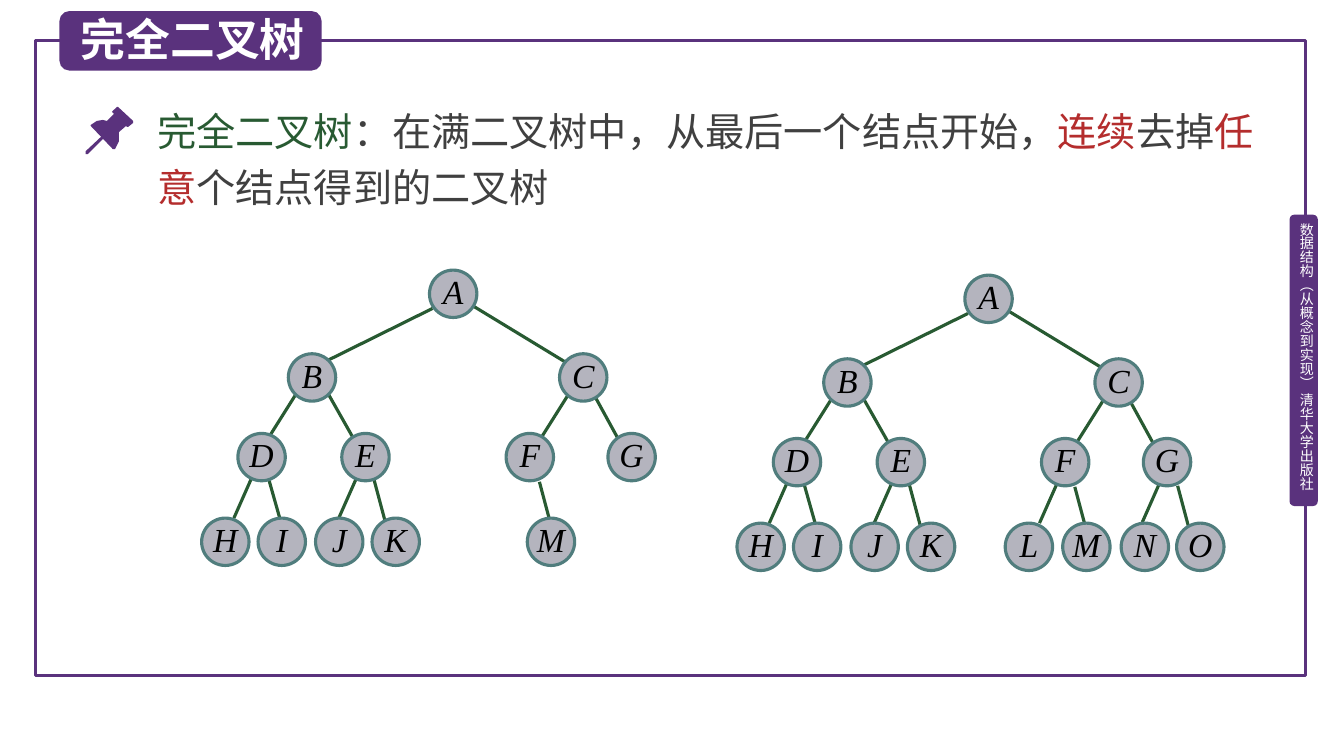
from lxml import etree
from pptx import Presentation
from pptx.dml.color import RGBColor
from pptx.enum.shapes import MSO_CONNECTOR, MSO_SHAPE
from pptx.enum.text import MSO_ANCHOR, MSO_AUTO_SIZE, PP_ALIGN
from pptx.oxml.ns import qn
from pptx.util import Inches, Pt

COLORS = {
    "purple": "5A327D", "white": "FFFFFF", "black": "000000", "gray": "404040",
    "green": "285A32", "red": "B42D2D", "node": "B4B4BE", "ring": "507D7D",
}
CJK, LATIN = "Noto Sans CJK SC", "Times New Roman"


def add_run(p, text, size, color, font=CJK, bold=False, italic=False):
    r = p.add_run()
    r.text = text
    r.font.size, r.font.name = Pt(size), font
    r.font.bold, r.font.italic = bold, italic
    r.font.color.rgb = RGBColor.from_string(COLORS[color])
    r.font.language_id = None
    etree.SubElement(r.font._element, qn("a:ea")).set("typeface", CJK)


def style(sp, fill=None, line=None):
    sp.shadow.inherit = False
    if fill:
        sp.fill.solid()
        sp.fill.fore_color.rgb = RGBColor.from_string(COLORS[fill])
    else:
        sp.fill.background()
    if line:
        sp.line.color.rgb = RGBColor.from_string(COLORS[line])
        sp.line.width = Pt(2.25)
    else:
        sp.line.fill.background()


prs = Presentation()
prs.slide_width, prs.slide_height = Inches(13.33), Inches(7.5)
slide = prs.slides.add_slide(prs.slide_layouts[1])
shapes = slide.shapes
title, body = shapes.title, slide.placeholders[1]

# Frame, side bar and title plate
for kind, box, fill, line in [
    (MSO_SHAPE.RECTANGLE, (0.35, 0.4, 12.6, 6.3), None, "purple"),
    (MSO_SHAPE.ROUNDED_RECTANGLE, (12.79, 2.13, 0.28, 2.89), "purple", None),
    (MSO_SHAPE.ROUNDED_RECTANGLE, (0.59, 0.11, 2.6, 0.59), "purple", None),
]:
    sp = shapes.add_shape(kind, *map(Inches, box))
    style(sp, fill, line)

side = shapes.add_textbox(*map(Inches, (12.87, 2.21, 0.17, 2.81)))

# Text boxes and placeholders, brought in front of the plate
for sp, box, inset_x, inset_y in [
    (side, (12.87, 2.21, 0.17, 2.81), 0, 0),
    (title, (0.7, 0.07, 2.5, 0.64), 0.1, 0.05),
    (body, (1.56, 0.93, 11.11, 1.22), 0, 0.05),
]:
    sp.left, sp.top, sp.width, sp.height = map(Inches, box)
    tf = sp.text_frame
    tf.word_wrap = True
    tf.auto_size = MSO_AUTO_SIZE.NONE
    tf.vertical_anchor = MSO_ANCHOR.TOP
    tf.margin_left = tf.margin_right = Inches(inset_x)
    tf.margin_top = tf.margin_bottom = Inches(inset_y)
    tf.paragraphs[0].alignment = PP_ALIGN.LEFT
    shapes._spTree.append(sp._element)

side.text_frame._txBody.bodyPr.set("vert", "eaVert")
add_run(side.text_frame.paragraphs[0], "数据结构（从概念到实现） 清华大学出版社", 10, "white")
add_run(title.text_frame.paragraphs[0], "完全二叉树", 32, "white", bold=True)

p = body.text_frame.paragraphs[0]
pPr = p._p.get_or_add_pPr()
pPr.set("marL", "0")
pPr.set("indent", "0")
etree.SubElement(pPr, qn("a:buNone"))
p.line_spacing, p.space_before = Pt(40), Pt(0)
for text, color in [
    ("完全二叉树", "green"), ("：在满二叉树中，从最后一个结点开始，", "gray"),
    ("连续", "red"), ("去掉", "gray"), ("任意", "red"), ("个结点得到的二叉树", "gray"),
]:
    add_run(p, text, 28, color, font=LATIN)

# Pushpin, in hundredths of an inch
PIN_HEAD = [
    (132, 120), (117, 106), (116, 106), (112, 110), (111, 111), (112, 112), (113, 113),
    (106, 120), (102, 119), (96, 120), (90, 124), (90, 125), (112, 148), (114, 148),
    (118, 140), (118, 131), (125, 125), (126, 126), (127, 126), (132, 122),
]
PIN_NEEDLE = [(86, 153), (85, 153), (85, 150), (101, 135), (103, 135), (103, 137), (87, 153)]
for outline in (PIN_HEAD, PIN_NEEDLE):
    builder = shapes.build_freeform(*outline[0], scale=Inches(0.01))
    builder.add_line_segments(outline[1:])
    style(builder.convert_to_shape(), "purple")

# Node: left, top, and the line that comes down from its parent
NODE_SIZE = 0.47
NODES = {
    "A": (4.26, 2.68, None),
    "B": (2.86, 3.51, (4.29, 3.06, 3.2, 3.6)),
    "C": (5.55, 3.51, (4.65, 3.01, 5.67, 3.63)),
    "D": (2.36, 4.3, (2.98, 3.84, 2.64, 4.38)),
    "E": (3.39, 4.3, (3.24, 3.88, 3.54, 4.41)),
    "F": (5.02, 4.3, (5.64, 3.91, 5.3, 4.45)),
    "G": (6.03, 4.3, (5.91, 3.95, 6.2, 4.48)),
    "H": (2, 5.14, (2.51, 4.71, 2.32, 5.14)),
    "I": (2.56, 5.14, (2.67, 4.77, 2.8, 5.23)),
    "J": (3.13, 5.14, (3.55, 4.71, 3.36, 5.14)),
    "K": (3.69, 5.14, (3.71, 4.76, 3.83, 5.21)),
    "L": (4.66, 5.14, (5.19, 4.71, 5, 5.14)),
    "M": (5.23, 5.14, (5.35, 4.78, 5.47, 5.23)),
    "N": (5.81, 5.14, (6.21, 4.7, 6.02, 5.13)),
    "O": (6.36, 5.14, (6.37, 4.77, 6.49, 5.22)),
}
for names, dx, dy in [("ABCDEFGHIJKM", 0, 0), ("ABCDEFGHIJKLMNO", 5.31, 0.05)]:
    for name in names[1:]:
        x1, y1, x2, y2 = NODES[name][2]
        edge = shapes.add_connector(
            MSO_CONNECTOR.STRAIGHT,
            Inches(x1 + dx), Inches(y1 + dy), Inches(x2 + dx), Inches(y2 + dy))
        edge.line.color.rgb = RGBColor.from_string(COLORS["green"])
        edge.line.width = Pt(2.25)
        etree.SubElement(edge._element.spPr, qn("a:effectLst"))
    for name in names:
        x, y, _ = NODES[name]
        sp = shapes.add_shape(MSO_SHAPE.OVAL, Inches(x + dx), Inches(y + dy),
                              Inches(NODE_SIZE), Inches(NODE_SIZE))
        style(sp, "node", "ring")
        tf = sp.text_frame
        tf.margin_left = tf.margin_right = tf.margin_top = tf.margin_bottom = 0
        tf.vertical_anchor = MSO_ANCHOR.MIDDLE
        p = tf.paragraphs[0]
        p.alignment, p.line_spacing = PP_ALIGN.CENTER, Pt(25)
        add_run(p, name, 24, "black", font=LATIN, italic=True)

prs.save("out.pptx")
